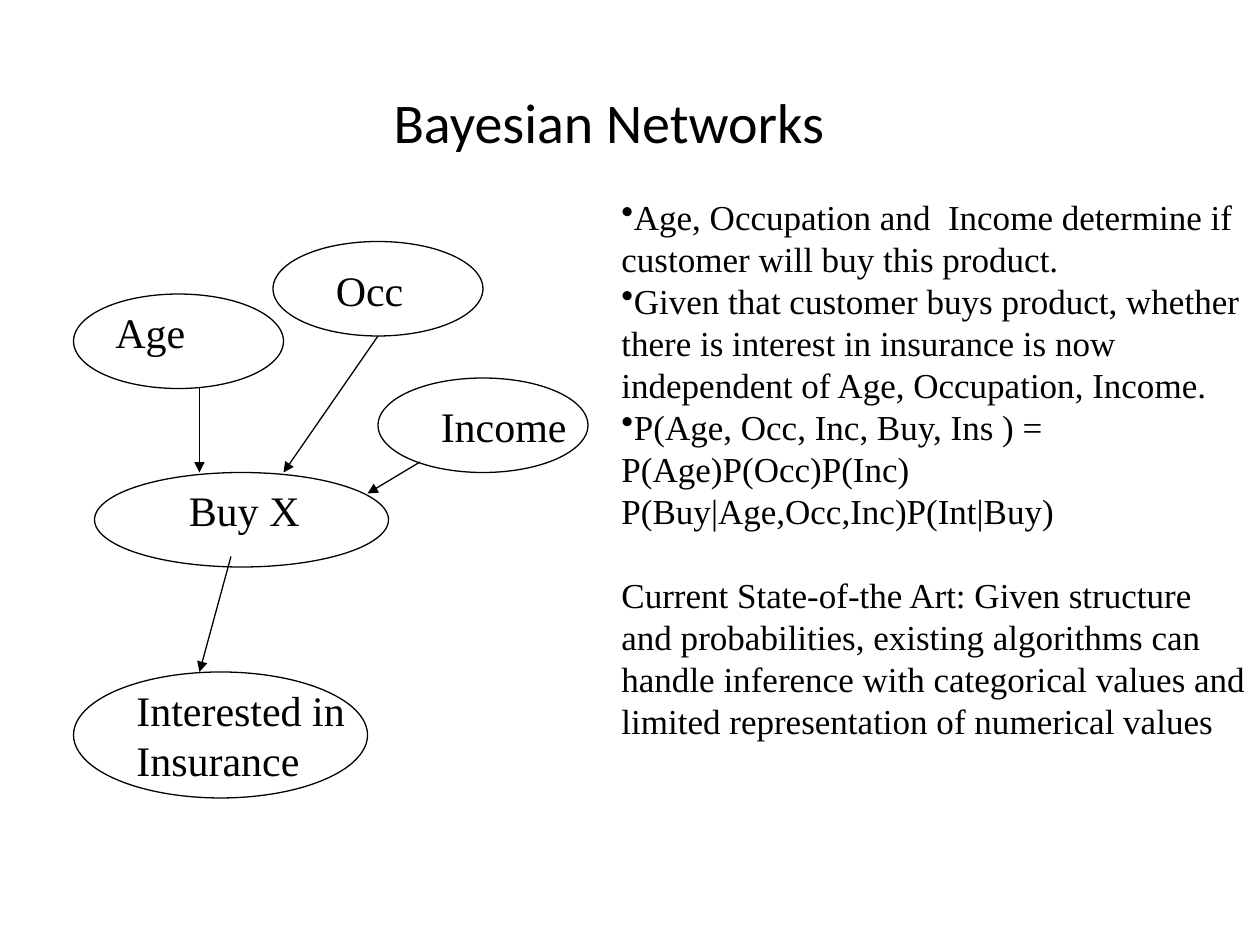
from dataclasses import dataclass

import pptx
import pptx.dml.color
import pptx.enum.shapes
import pptx.enum.text
import pptx.oxml.ns
import pptx.util
from lxml import etree

Pt = pptx.util.Pt
COLORS = {"ink": "000000", "background": "FFFFFF"}
TITLE_FONT = "Calibri"
BODY_FONT = "Times New Roman"
LINE_WIDTH = 0.75


@dataclass
class Node:
    left: float
    top: float
    width: float
    height: float
    label: str
    label_left: float
    label_top: float
    label_width: float
    label_height: float = 36


@dataclass
class Arrow:
    start: tuple[float, float]
    end: tuple[float, float]


@dataclass
class Statement:
    text: str
    bullet: bool = False
    space_before: float = 0


NODES = [
    Node(42, 384, 168, 72, "Interested in\nInsurance", 70.8, 387.4, 139.5, 65),
    Node(216, 216, 120, 54, "Income", 244.8, 225.4, 86.5),
    Node(156, 138, 120, 54, "Occ", 184.8, 147.4, 53.5),
    Node(42, 168, 120, 54, "Age", 58.8, 171.4, 54.5),
    Node(54, 270, 168, 54, "Buy X", 100.8, 273.4, 78),
]

ARROWS = [
    Arrow((114, 222), (114, 270)),
    Arrow((216, 192), (162, 270)),
    Arrow((240, 264), (210, 282)),
    Arrow((132, 318), (114, 384)),
]

STATEMENTS = [
    Statement("Age, Occupation and  Income determine if customer will buy this product.", True),
    Statement("Given that customer buys product, whether there is interest in insurance "
              "is now independent of Age, Occupation, Income.", True),
    Statement("P(Age, Occ, Inc, Buy, Ins ) = P(Age)P(Occ)P(Inc)", True),
    Statement("P(Buy|Age,Occ,Inc)P(Int|Buy)"),
    Statement("Current State-of-the Art: Given structure and probabilities, existing "
              "algorithms can handle inference with categorical values and limited "
              "representation of numerical values", space_before=24),
]


def color(name: str) -> pptx.dml.color.RGBColor:
    return pptx.dml.color.RGBColor.from_string(COLORS[name])


def format_runs(paragraph, font_name: str, size: float) -> None:
    for run in paragraph.runs:
        run.font.name = font_name
        run.font.size = Pt(size)
        run.font.color.rgb = color("ink")


def draw_title(slide, text: str) -> None:
    title = slide.shapes.title
    title.left, title.top, title.width, title.height = Pt(42), Pt(24), Pt(612), Pt(90)
    title.text_frame.text = text
    title.text_frame.vertical_anchor = pptx.enum.text.MSO_ANCHOR.MIDDLE
    paragraph = title.text_frame.paragraphs[0]
    paragraph.alignment = pptx.enum.text.PP_ALIGN.CENTER
    format_runs(paragraph, TITLE_FONT, 32)


def draw_ellipse(slide, node: Node) -> None:
    shape = slide.shapes.add_shape(
        pptx.enum.shapes.MSO_SHAPE.OVAL,
        Pt(node.left), Pt(node.top), Pt(node.width), Pt(node.height))
    shape.shadow.inherit = False
    shape.fill.background()
    shape.line.color.rgb = color("ink")
    shape.line.width = Pt(LINE_WIDTH)


def draw_label(slide, node: Node) -> None:
    label = slide.shapes.add_textbox(
        Pt(node.label_left), Pt(node.label_top), Pt(node.label_width), Pt(node.label_height))
    label.text_frame.word_wrap = False
    label.text_frame.text = node.label
    for paragraph in label.text_frame.paragraphs:
        format_runs(paragraph, BODY_FONT, 24)


def draw_arrow(slide, arrow: Arrow) -> None:
    connector = slide.shapes.add_connector(
        pptx.enum.shapes.MSO_CONNECTOR.STRAIGHT,
        *(Pt(value) for value in arrow.start + arrow.end))
    connector.line.color.rgb = color("ink")
    connector.line.width = Pt(LINE_WIDTH)
    properties = connector._element.spPr
    line = properties.find(pptx.oxml.ns.qn("a:ln"))
    etree.SubElement(line, pptx.oxml.ns.qn("a:tailEnd"), type="triangle")
    etree.SubElement(properties, pptx.oxml.ns.qn("a:effectLst"))


def draw_statements(slide, statements: list[Statement]) -> None:
    box = slide.shapes.add_textbox(Pt(348), Pt(108), Pt(372), Pt(319))
    frame = box.text_frame
    frame.word_wrap = True
    frame.text = "\n".join(statement.text for statement in statements)
    for paragraph, statement in zip(frame.paragraphs, statements):
        if statement.space_before:
            paragraph.space_before = Pt(statement.space_before)
        if statement.bullet:
            properties = paragraph._p.get_or_add_pPr()
            etree.SubElement(properties, pptx.oxml.ns.qn("a:buChar"), char="•")
        format_runs(paragraph, BODY_FONT, 20)


def main() -> None:
    presentation = pptx.Presentation()
    presentation.slide_width, presentation.slide_height = Pt(720), Pt(540)
    slide = presentation.slides.add_slide(presentation.slide_layouts[5])
    slide.background.fill.solid()
    slide.background.fill.fore_color.rgb = color("background")

    draw_title(slide, "Bayesian Networks")

    # Network: ellipses, then arrows
    for node in NODES:
        draw_ellipse(slide, node)
    for arrow in ARROWS:
        draw_arrow(slide, arrow)

    # Explanation on the right, then node labels
    draw_statements(slide, STATEMENTS)
    for node in NODES:
        draw_label(slide, node)

    presentation.save("out.pptx")


if __name__ == "__main__":
    main()
